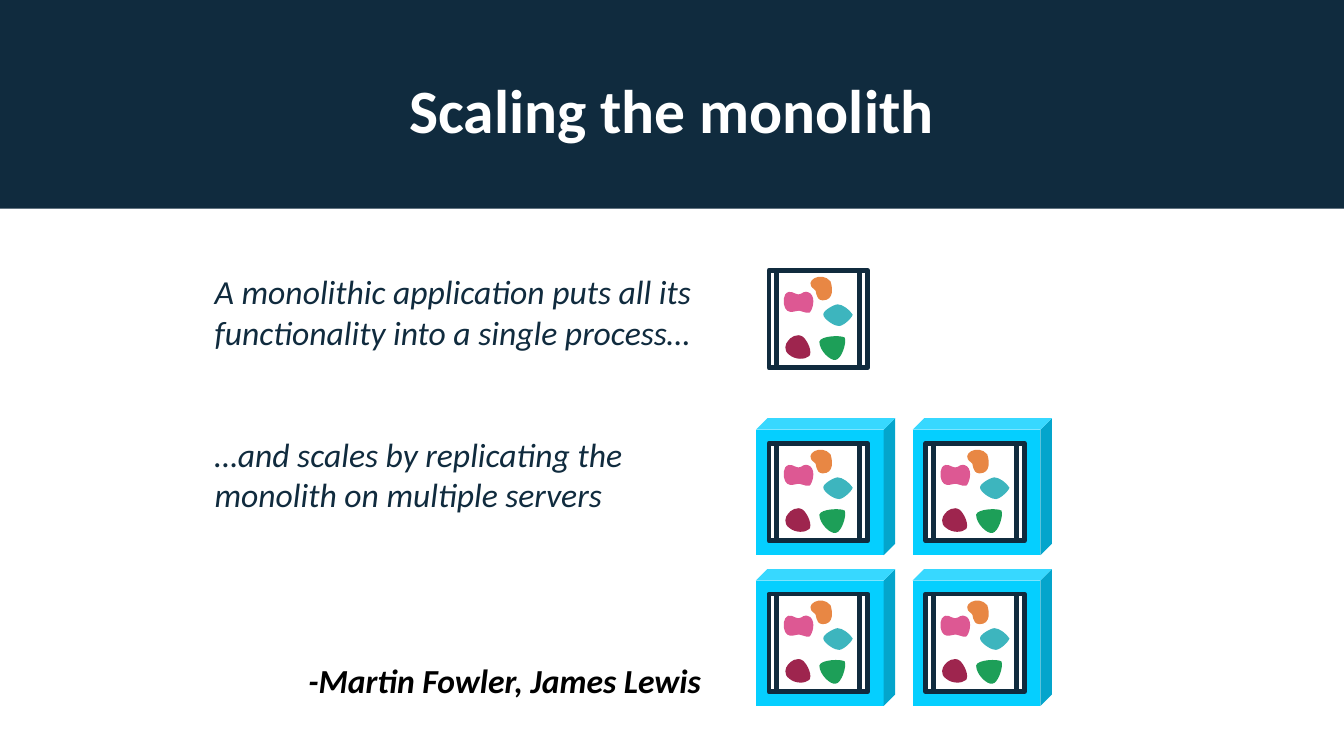
from pptx import Presentation
from pptx.dml.color import RGBColor
from pptx.enum.shapes import MSO_SHAPE as SHAPE
from pptx.enum.text import MSO_ANCHOR, MSO_AUTO_SIZE, PP_ALIGN
from pptx.oxml.ns import qn
from pptx.oxml.xmlchemy import OxmlElement
from pptx.util import Cm, Pt

NAVY = RGBColor(0x10, 0x2B, 0x3E)
WHITE = RGBColor(0xFF, 0xFF, 0xFF)
BLACK = RGBColor(0, 0, 0)
CYAN = RGBColor(0x05, 0xCF, 0xFF)
GREEN = RGBColor(0x1D, 0x9F, 0x58)
TEAL = RGBColor(0x3D, 0xB5, 0xBE)
PINK = RGBColor(0xDD, 0x58, 0x93)
MAROON = RGBColor(0x9E, 0x25, 0x4E)
ORANGE = RGBColor(0xE8, 0x87, 0x44)
FONT = "Calibri"

TITLE = "Scaling the monolith"
STATEMENT = [
    "A monolithic application puts all its",
    "functionality into a single process…",
    "…and scales by replicating the",
    "monolith on multiple servers",
]
AUTHORS = "-Martin Fowler, James Lewis"

# Blobs inside a process: colour and Bezier curves (two control points
# and an end), in mm from the process corner. The last end is the start.
BLOBS = [
    (GREEN, [
        (19.6, 18.3), (18.3, 22.4), (16.8, 22.6),
        (15.5, 22.9), (12.7, 20.3), (12.7, 18),
        (13, 16.5), (18.3, 16.3), (19.1, 17)]),
    (TEAL, [
        (13.5, 10.2), (16.5, 8.6), (17.3, 8.6),
        (18.5, 8.6), (20.3, 9.9), (21.1, 11.2),
        (20.8, 12.2), (18.3, 14.5), (17.3, 14),
        (16.3, 14), (13.7, 12.2), (13.7, 11.2)]),
    (PINK, [
        (6.6, 10.2), (5.6, 10.9), (4.6, 10.2),
        (3.8, 9.7), (3.3, 7.4), (4.1, 6.1),
        (5.3, 4.6), (6.4, 6.1), (7.4, 6.1),
        (8.6, 6.1), (8.6, 4.8), (10.4, 5.8),
        (11.9, 7.1), (10.9, 10.2), (10.2, 10.7),
        (8.9, 10.9), (8.6, 10.2), (7.6, 10.2)]),
    (MAROON, [
        (5.3, 17), (7.1, 15.7), (8.6, 16.8),
        (9.9, 18), (10.9, 20.6), (10.2, 21.6),
        (9.1, 22.6), (6.6, 22.6), (5.1, 21.3),
        (3.6, 20.3), (4.1, 18.5), (4.8, 17.8)]),
    (ORANGE, [
        (8.4, 2.8), (13.2, 0), (15.5, 2.8),
        (16, 4.3), (16.5, 7.6), (13.5, 7.6),
        (11.4, 7.4), (12.2, 4.8), (11.4, 4.8)]),
]

# Lengths in cm
PROCESS_X, PROCESS_Y = 19.38, 6.81
PROCESS_W, PROCESS_H = 2.49, 2.46
INSET = 0.2
SERVER_X, SERVER_Y = 19.05, 10.54
SERVER_W, SERVER_H = 3.51, 3.45
STEP_X, STEP_Y = 3.95, 3.8
IN_SERVER_X, IN_SERVER_Y = 0.33, 0.63


def paint(shape, fill, line=None):
    shape.shadow.inherit = False
    shape.fill.solid()
    shape.fill.fore_color.rgb = fill
    if line is None:
        shape.line.fill.background()
    else:
        shape.line.color.rgb = line
        shape.line.width = Pt(3.5)


def add_box(shapes, kind, x, y, w, h, fill, line=None):
    sp = shapes.add_shape(kind, Cm(x), Cm(y), Cm(w), Cm(h))
    paint(sp, fill, line)
    return sp


def bend(shape):
    """Turn each three line segments of a freeform into one Bezier curve."""
    lines = list(shape._element.iter(qn("a:lnTo")))
    for i in range(0, len(lines), 3):
        curve = OxmlElement("a:cubicBezTo")
        lines[i].addprevious(curve)
        for line in lines[i:i + 3]:
            curve.append(line[0])
            line.getparent().remove(line)


def add_process(shapes, x, y):
    add_box(shapes, SHAPE.RECTANGLE, x, y, PROCESS_W, PROCESS_H, WHITE, NAVY)
    add_box(shapes, SHAPE.RECTANGLE, x + INSET, y, PROCESS_W - 2 * INSET,
            PROCESS_H, WHITE, NAVY)
    for color, curves in BLOBS:
        points = [(Cm(x + px / 10), Cm(y + py / 10)) for px, py in curves]
        builder = shapes.build_freeform(*points[-1])
        builder.add_line_segments(points, close=True)
        blob = builder.convert_to_shape()
        bend(blob)
        paint(blob, color)


def add_server(shapes, x, y):
    cube = add_box(shapes, SHAPE.CUBE, x, y, SERVER_W, SERVER_H, CYAN)
    cube.adjustments[0] = 0.084
    add_process(shapes, x + IN_SERVER_X, y + IN_SERVER_Y)


def style(p, size, color, bold=False, italic=False):
    for r in p.runs:
        r.font.name = FONT
        r.font.size = Pt(size)
        r.font.color.rgb = color
        r.font.bold = bold
        r.font.italic = italic


def add_text(slide, x, y, w, h, lines, color, bold=False):
    tf = slide.shapes.add_textbox(Cm(x), Cm(y), Cm(w), Cm(h)).text_frame
    tf.word_wrap = False
    tf.auto_size = MSO_AUTO_SIZE.SHAPE_TO_FIT_TEXT
    tf.text = "\n".join(lines)
    for p in tf.paragraphs:
        style(p, 24, color, bold, italic=True)
    return tf


def add_title(slide):
    title = slide.shapes.title
    title.left, title.top = Cm(2.33), Cm(1.01)
    title.width, title.height = Cm(29.21), Cm(3.68)
    tf = title.text_frame
    tf.text = TITLE
    tf.vertical_anchor = MSO_ANCHOR.MIDDLE
    p = tf.paragraphs[0]
    p.alignment = PP_ALIGN.CENTER
    p.line_spacing = 0.9
    style(p, 44, WHITE, bold=True)
    band = add_box(slide.shapes, SHAPE.RECTANGLE, 0, 0, 33.87, 5.26, NAVY)
    title._element.addprevious(band._element)


def main():
    prs = Presentation()
    prs.slide_width, prs.slide_height = Cm(33.87), Cm(19.05)
    slide = prs.slides.add_slide(prs.slide_layouts[5])
    add_title(slide)
    statement = add_text(slide, 5.16, 6.71, 12.65, 6.4, STATEMENT, NAVY)
    statement.paragraphs[2].space_before = Pt(58.5)

    add_process(slide.shapes.add_group_shape().shapes, PROCESS_X, PROCESS_Y)
    servers = slide.shapes.add_group_shape().shapes
    for row in range(2):
        for col in range(2):
            add_server(servers, SERVER_X + col * STEP_X, SERVER_Y + row * STEP_Y)

    add_text(slide, 7.52, 16.51, 10.62, 1.27, [AUTHORS], BLACK, bold=True)
    prs.save("out.pptx")


if __name__ == "__main__":
    main()
